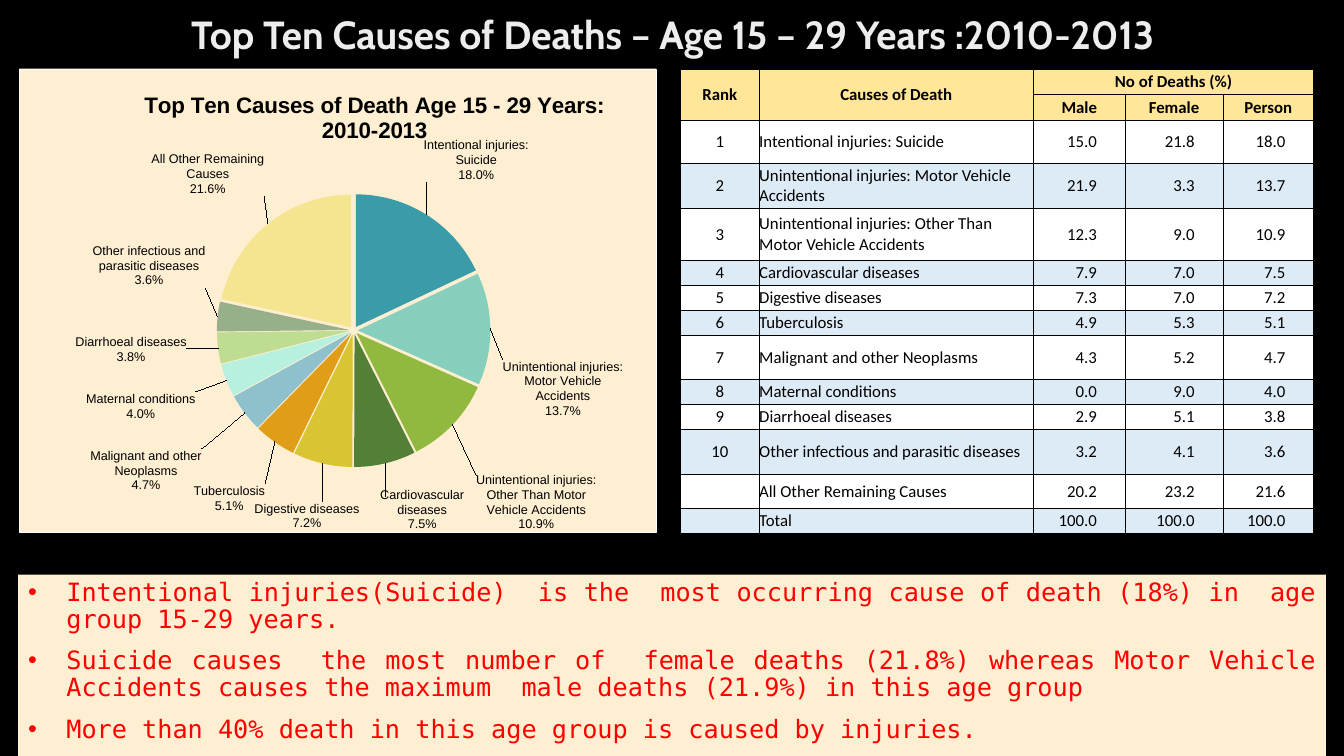
import lxml.etree
import pptx
import pptx.chart.data
import pptx.dml.color
import pptx.enum.chart
import pptx.enum.shapes
import pptx.enum.text
import pptx.oxml
import pptx.oxml.ns
import pptx.util

WIDTH, HEIGHT = 13.33, 7.5
ALIGN = pptx.enum.text.PP_ALIGN
MIDDLE = pptx.enum.text.MSO_ANCHOR.MIDDLE
CREAM, BLACK = "FEEFD2", "000000"
HEADER, WHITE, BAND = "FFE699", "FFFFFF", "DDEBF7"

CAUSES = [
    ("Intentional injuries: Suicide", 15.0, 21.8, 18.0, "3A9BA9", (-0.01, -0.06)),
    ("Unintentional injuries: Motor Vehicle Accidents", 21.9, 3.3, 13.7, "87CFBD", (0.01, 0.13)),
    ("Unintentional injuries: Other Than Motor Vehicle Accidents", 12.3, 9.0, 10.9, "91B93F", (0.03, 0.1)),
    ("Cardiovascular diseases", 7.9, 7.0, 7.5, "547F36", (-0.01, 0.06)),
    ("Digestive diseases", 7.3, 7.0, 7.2, "D9C433", (0.06, 0.07)),
    ("Tuberculosis", 4.9, 5.3, 5.1, "E09D18", (-0.01, 0.08)),
    ("Malignant and other Neoplasms", 4.3, 5.2, 4.7, "8FC1CC", (-0.06, 0.07)),
    ("Maternal conditions", 0.0, 9.0, 4.0, "B8F0E0", (-0.04, 0.02)),
    ("Diarrhoeal diseases", 2.9, 5.1, 3.8, "BFDD92", (-0.04, -0.03)),
    ("Other infectious and parasitic diseases", 3.2, 4.1, 3.6, "98B08A", (-0.01, -0.06)),
    ("All Other Remaining Causes", 20.2, 23.2, 21.6, "F5E590", (0, -0.05)),
]
FINDINGS = [
    "Intentional injuries(Suicide)  is the  most occurring cause of death (18%) in  age group 15-29 years.",
    "Suicide causes  the most number of  female deaths (21.8%) whereas Motor Vehicle Accidents "
    "causes the maximum  male deaths (21.9%) in this age group",
    "More than 40% death in this age group is caused by injuries.",
]
COLUMNS = [0.78, 2.72, 0.91, 0.97, 0.9]
ROWS = [0.25, 0.25, 0.43, 0.45, 0.51, 0.25, 0.25, 0.25, 0.43, 0.25, 0.25, 0.45, 0.33, 0.25]


def colour(code):
    """Return the colour of a hex string."""
    return pptx.dml.color.RGBColor.from_string(code)


def inches(*lengths):
    """Return lengths in inches as slide units."""
    return [pptx.util.Inches(length) for length in lengths]


def style(font, name, size, code, bold=False):
    """Set the face, size, colour and weight of a font."""
    font.name, font.size, font.bold = name, pptx.util.Pt(size), bold
    font.color.rgb = colour(code)


def chart_xml(body):
    """Parse one chart element, with its namespaces declared."""
    tag, rest = body.split(">", 1)
    return pptx.oxml.parse_xml(f'{tag} {pptx.oxml.ns.nsdecls("c", "a")}>{rest}')


def manual_layout(x, y, extra="", modes=""):
    """Return a manual chart layout element as text."""
    return (f'<c:layout><c:manualLayout>{modes}<c:x val="{x}"/><c:y val="{y}"/>'
            f'{extra}</c:manualLayout></c:layout>')


def remove_layout(element):
    """Take any layout out of a chart element."""
    for layout in element.findall(pptx.oxml.ns.qn("c:layout")):
        element.remove(layout)


def add_title(slide, box):
    """Write the slide heading in the box."""
    frame = slide.shapes.add_textbox(*inches(*box)).text_frame
    frame.word_wrap, frame.vertical_anchor = True, MIDDLE
    paragraph = frame.paragraphs[0]
    paragraph.text = "Top Ten Causes of Deaths – Age 15 – 29 Years :2010-2013"
    paragraph.alignment, paragraph.line_spacing = ALIGN.CENTER, 0.9
    style(paragraph.font, "Cabin", 28, "EDEDED", True)


def add_findings(slide, box):
    """Write the bulleted findings on a cream panel."""
    panel = slide.shapes.add_shape(pptx.enum.shapes.MSO_SHAPE.RECTANGLE, *inches(*box))
    panel.shadow.inherit = False
    panel.fill.solid()
    panel.fill.fore_color.rgb = colour(CREAM)
    panel.line.fill.background()
    frame = panel.text_frame
    frame.word_wrap, frame.vertical_anchor = True, pptx.enum.text.MSO_ANCHOR.TOP
    for index, finding in enumerate(FINDINGS):
        paragraph = frame.add_paragraph() if index else frame.paragraphs[0]
        paragraph.text = finding
        paragraph.alignment, paragraph.line_spacing = ALIGN.JUSTIFY, 0.9
        paragraph.space_before = pptx.util.Pt(10 if index else 0)
        properties = paragraph._p.get_or_add_pPr()
        indent = pptx.util.Inches(0.38)
        properties.set("marL", str(indent))
        properties.set("indent", str(-indent))
        for tag, key, value in (("a:buFont", "typeface", "Arial"), ("a:buChar", "char", "•")):
            lxml.etree.SubElement(properties, pptx.oxml.ns.qn(tag)).set(key, value)
        style(paragraph.font, "DejaVu Sans Mono", 18, "FF0000")


def add_pie(slide, box):
    """Draw the pie of all causes with its labels set around it."""
    data = pptx.chart.data.CategoryChartData()
    data.categories = [cause[0] for cause in CAUSES]
    data.add_series("Series 1", [cause[3] for cause in CAUSES])
    chart = slide.shapes.add_chart(pptx.enum.chart.XL_CHART_TYPE.PIE, *inches(*box), data).chart
    chart.has_legend = False
    style(chart.font, "Arial", 10, BLACK)
    title = chart.chart_title.text_frame.paragraphs[0]
    title.text = "Top Ten Causes of Death Age 15 - 29 Years: 2010-2013"
    style(title.font, "Arial", 16, BLACK, True)
    edges = '<c:xMode val="edge"/><c:yMode val="edge"/>'
    title_element = chart.chart_title._element
    remove_layout(title_element)
    title_element.find(pptx.oxml.ns.qn("c:tx")).addnext(
        chart_xml(manual_layout(0.19, 0.04, modes=edges)))
    plot_area = chart._chartSpace.chart.plotArea
    remove_layout(plot_area)
    plot_area.insert(0, chart_xml(manual_layout(
        0.21, 0.27, '<c:w val="0.63"/><c:h val="0.59"/>',
        '<c:layoutTarget val="inner"/>' + edges)))
    chart._chartSpace.chart.addnext(chart_xml(
        f'<c:spPr><a:solidFill><a:srgbClr val="{CREAM}"/></a:solidFill><a:ln w="3175">'
        f'<a:solidFill><a:srgbClr val="{WHITE}"/></a:solidFill></a:ln></c:spPr>'))
    plot = chart.plots[0]
    plot.vary_by_categories = True
    series = plot.series[0]
    for index, cause in enumerate(CAUSES):
        fill = series.points[index].format.fill
        fill.solid()
        fill.fore_color.rgb = colour(cause[4])
    element = series._element
    element.find(pptx.oxml.ns.qn("c:dPt")).addprevious(chart_xml('<c:explosion val="3"></c:explosion>'))
    flags = "".join(f'<c:show{name} val="{shown}"/>' for name, shown in (
        ("LegendKey", 0), ("Val", 0), ("CatName", 1), ("SerName", 0), ("Percent", 1), ("BubbleSize", 0)))
    look = ('<c:numFmt formatCode="0.0%" sourceLinked="0"/><c:spPr><a:noFill/></c:spPr>'
            '<c:txPr><a:bodyPr/><a:p><a:pPr><a:defRPr sz="900"/></a:pPr></a:p></c:txPr>'
            f'<c:dLblPos val="outEnd"/>{flags}<c:separator>\n</c:separator>')
    labels = "".join(f'<c:dLbl><c:idx val="{index}"/>{manual_layout(*cause[5])}{look}</c:dLbl>'
                     for index, cause in enumerate(CAUSES))
    element.find(pptx.oxml.ns.qn("c:cat")).addprevious(
        chart_xml(f'<c:dLbls>{labels}{look}<c:showLeaderLines val="1"/></c:dLbls>'))


def fill_cell(cell, text, fill, alignment, bold=False):
    """Write, fill and frame one table cell."""
    cell.margin_left = cell.margin_top = cell.margin_bottom = 0
    cell.margin_right = pptx.util.Inches(0.28 if alignment == ALIGN.RIGHT else 0)
    cell.vertical_anchor = MIDDLE
    paragraph = cell.text_frame.paragraphs[0]
    paragraph.text, paragraph.alignment = text, alignment
    style(paragraph.font, "Calibri", 12, BLACK, bold)
    properties = cell._tc.get_or_add_tcPr()
    for side in "LRTB":
        properties.append(pptx.oxml.parse_xml(
            f'<a:ln{side} {pptx.oxml.ns.nsdecls("a")} w="6350"><a:solidFill>'
            f'<a:srgbClr val="{BLACK}"/></a:solidFill></a:ln{side}>'))
    cell.fill.solid()
    cell.fill.fore_color.rgb = colour(fill)


def add_death_table(slide, box):
    """Draw the table of deaths by rank, cause and sex."""
    table = slide.shapes.add_table(len(ROWS), len(COLUMNS), *inches(*box)).table
    for column, width in zip(table.columns, inches(*COLUMNS)):
        column.width = width
    for row, height in zip(table.rows, inches(*ROWS)):
        row.height = height
    headings = [("Rank", "Causes of Death", "No of Deaths (%)", "", ""),
                ("", "", "Male", "Female", "Person")]
    records = [cause[:4] for cause in CAUSES] + [("Total", 100, 100, 100)]
    for row, texts in enumerate(headings):
        for column, text in enumerate(texts):
            fill_cell(table.cell(row, column), text, HEADER, ALIGN.CENTER, True)
    for index, (cause, *shares) in enumerate(records):
        rank = str(index + 1) if index < 10 else ""
        texts = [rank, cause] + [f"{share:.1f}" for share in shares]
        alignments = [ALIGN.CENTER, ALIGN.LEFT] + [ALIGN.RIGHT] * 3
        for column, (text, alignment) in enumerate(zip(texts, alignments)):
            fill_cell(table.cell(index + 2, column), text, BAND if index % 2 else WHITE, alignment)
    for first, last in (((0, 0), (1, 0)), ((0, 1), (1, 1)), ((0, 2), (0, 4))):
        table.cell(*first).merge(table.cell(*last))


presentation = pptx.Presentation()
presentation.slide_width, presentation.slide_height = inches(WIDTH, HEIGHT)
slide = presentation.slides.add_slide(presentation.slide_layouts[6])
slide.background.fill.solid()
slide.background.fill.fore_color.rgb = colour(BLACK)
add_title(slide, (0.92, 0.03, 11.5, 0.67))
add_findings(slide, (0.18, 5.7, 12.97, 1.8))
add_pie(slide, (0.19, 0.68, 6.32, 4.6))
add_death_table(slide, (6.75, 0.69, 6.28, 4.58))
presentation.save("out.pptx")
